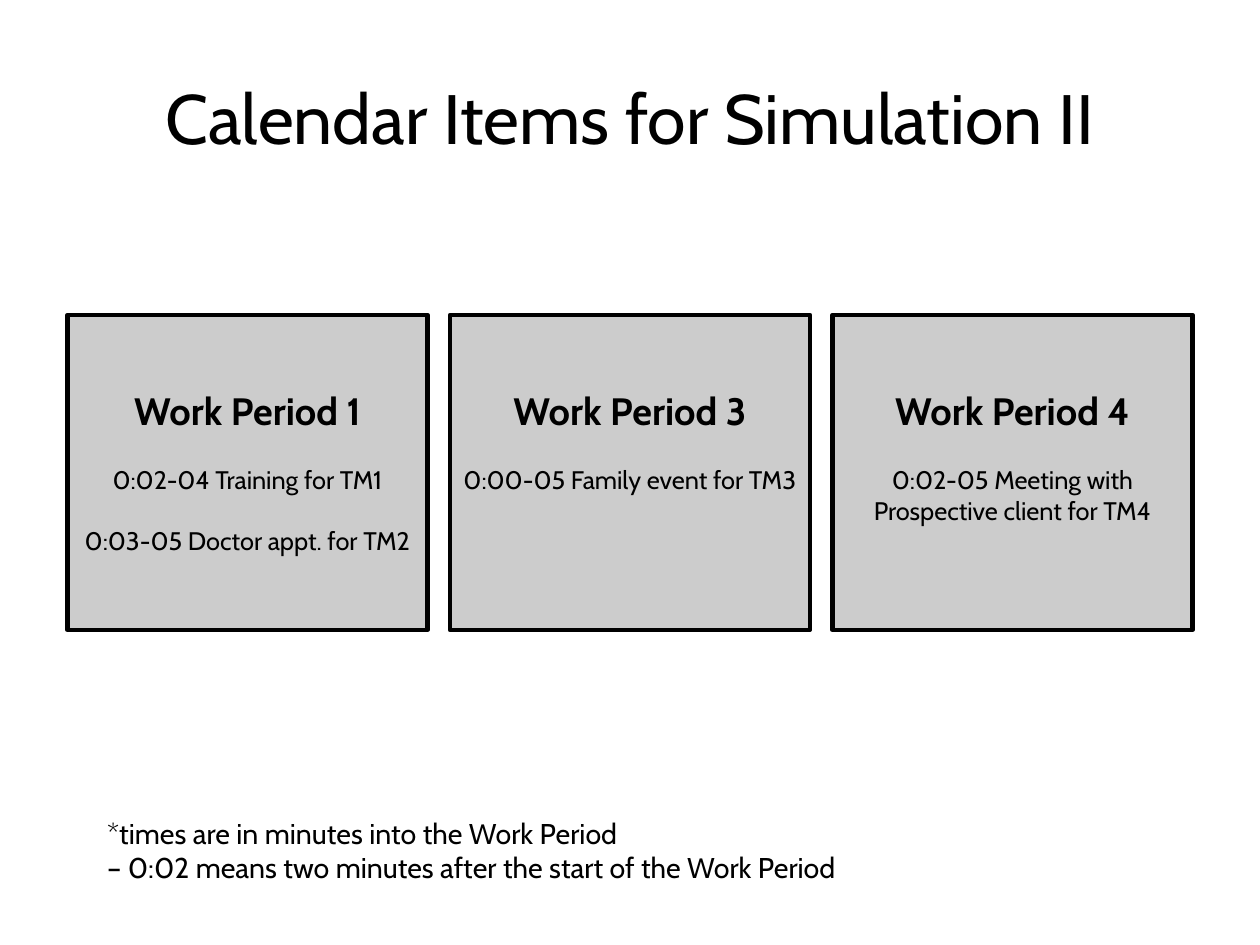
"""Build the calendar items slide for the second simulation."""
import pptx
import pptx.dml.color
import pptx.enum.shapes
import pptx.enum.text
import pptx.util

Cm, Pt = pptx.util.Cm, pptx.util.Pt
Align, Anchor = pptx.enum.text.PP_ALIGN, pptx.enum.text.MSO_ANCHOR
COLORS = {"ink": "000000", "card": "CCCCCC", "page": "FFFFFF"}
WIDTH, HEIGHT = 28, 21
MARGIN, GAP, COLUMNS = 1.5, 0.5, 3
COLUMN = (WIDTH - 2 * MARGIN - (COLUMNS - 1) * GAP) / COLUMNS
ROW = HEIGHT / 3
PERIODS = {
    "Work Period 1": [["0:02-04 Training for TM1"], ["0:03-05 Doctor appt. for TM2"]],
    "Work Period 3": [["0:00-05 Family event for TM3"]],
    "Work Period 4": [["0:02-05 Meeting with", "Prospective client for TM4"]],
}
NOTES = [
    "*times are in minutes into the Work Period",
    "– 0:02 means two minutes after the start of the Work Period",
]


def color(name):
    """Return the named colour."""
    return pptx.dml.color.RGBColor.from_string(COLORS[name])


def apply(target, values):
    """Set every attribute in a dict of format values."""
    for name, value in values.items():
        setattr(target, name, value)


def place(box, left, top, width, height):
    """Move and size a shape in centimetres."""
    lengths = {"left": left, "top": top, "width": width, "height": height}
    apply(box, {name: Cm(value) for name, value in lengths.items()})


def set_frame(box, anchor, side, top, bottom):
    """Set the anchor, wrapping and insets of a text frame."""
    apply(box.text_frame, {
        "word_wrap": True, "auto_size": pptx.enum.text.MSO_AUTO_SIZE.NONE,
        "vertical_anchor": anchor,
        "margin_left": Cm(side), "margin_right": Cm(side),
        "margin_top": Cm(top), "margin_bottom": Cm(bottom),
    })


def write(box, lines, align):
    """Write (text, size, bold, space before) lines as paragraphs."""
    frame = box.text_frame
    for index, (text, size, bold, space) in enumerate(lines):
        para = frame.add_paragraph() if index else frame.paragraphs[0]
        apply(para, {"alignment": align, "space_before": Pt(space)})
        span = para.add_run()
        span.text = text
        apply(span.font, {"name": "Cabin", "size": Pt(size), "bold": bold})
        span.font.color.rgb = color("ink")


def add_title(page, text):
    """Format the title placeholder."""
    box = page.shapes.title
    place(box, 0.05 * WIDTH, 0.04 * HEIGHT, 0.9 * WIDTH, ROW / 2)
    set_frame(box, Anchor.MIDDLE, 0, 0, 0)
    write(box, [(text, 44, False, 0)], Align.CENTER)


def add_period(page, column, heading, events):
    """Add one work period card in a grid column."""
    box = page.shapes.add_shape(pptx.enum.shapes.MSO_SHAPE.RECTANGLE, 0, 0, 0, 0)
    place(box, MARGIN + column * (COLUMN + GAP), ROW, COLUMN, ROW)
    box.shadow.inherit = False
    box.fill.solid()
    box.fill.fore_color.rgb = color("card")
    box.line.color.rgb = color("ink")
    box.line.width = Pt(2.83)
    set_frame(box, Anchor.TOP, 0.25, 1.62, 0.18)
    lines = [(heading, 24, True, 0)]
    for event in events:
        lines += [(text, 16, False, 0 if index else 19.4) for index, text in enumerate(event)]
    write(box, lines, Align.CENTER)


def add_notes(page, notes):
    """Add the explanatory lines at the foot of the page."""
    box = page.shapes.add_textbox(0, 0, 0, 0)
    place(box, 2.13, 18, 18.3, 1.98)
    set_frame(box, Anchor.TOP, 0.25, 0.13, 0.13)
    write(box, [(note, 18, False, 0) for note in notes], Align.LEFT)


def main():
    """Build and save the deck."""
    deck = pptx.Presentation()
    deck.slide_width = Cm(WIDTH)
    deck.slide_height = Cm(HEIGHT)
    page = deck.slides.add_slide(deck.slide_layouts[5])
    page.background.fill.solid()
    page.background.fill.fore_color.rgb = color("page")
    add_title(page, "Calendar Items for Simulation II")
    for column, (heading, events) in enumerate(PERIODS.items()):
        add_period(page, column, heading, events)
    add_notes(page, NOTES)
    deck.save("out.pptx")


if __name__ == "__main__":
    main()
